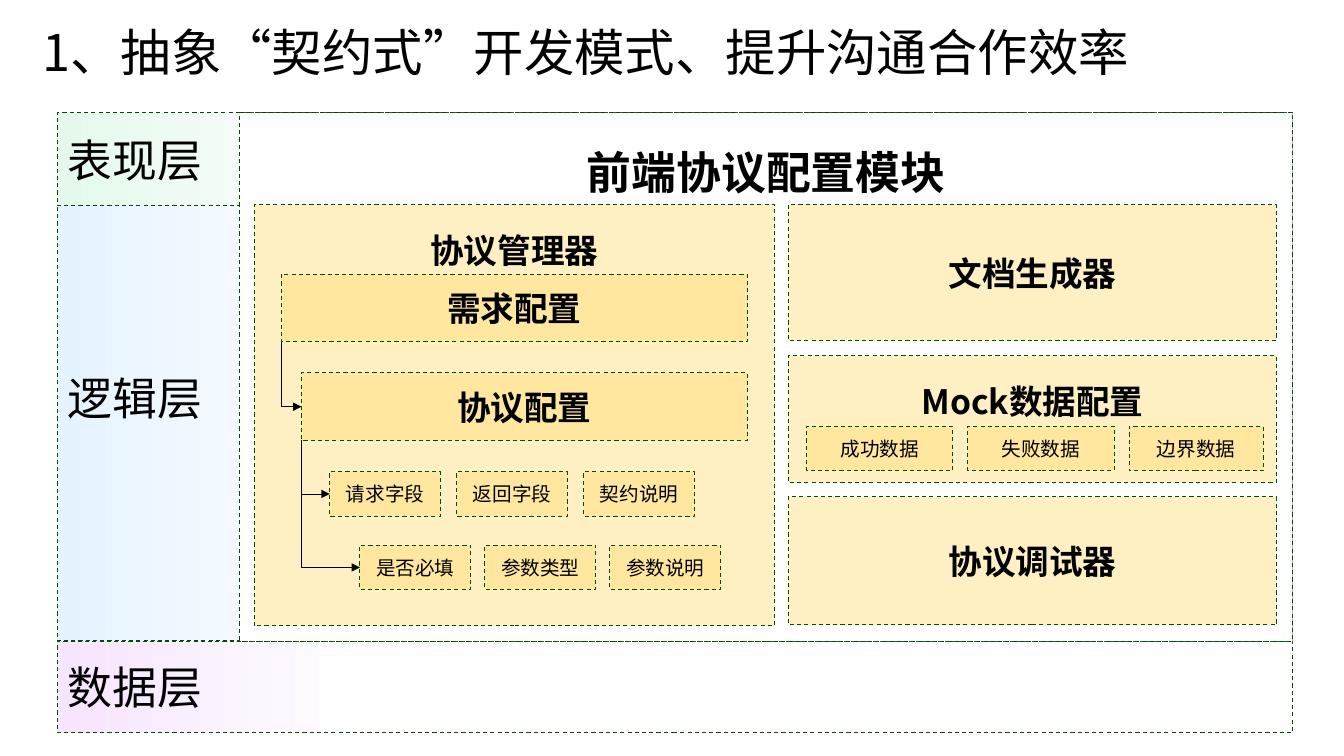
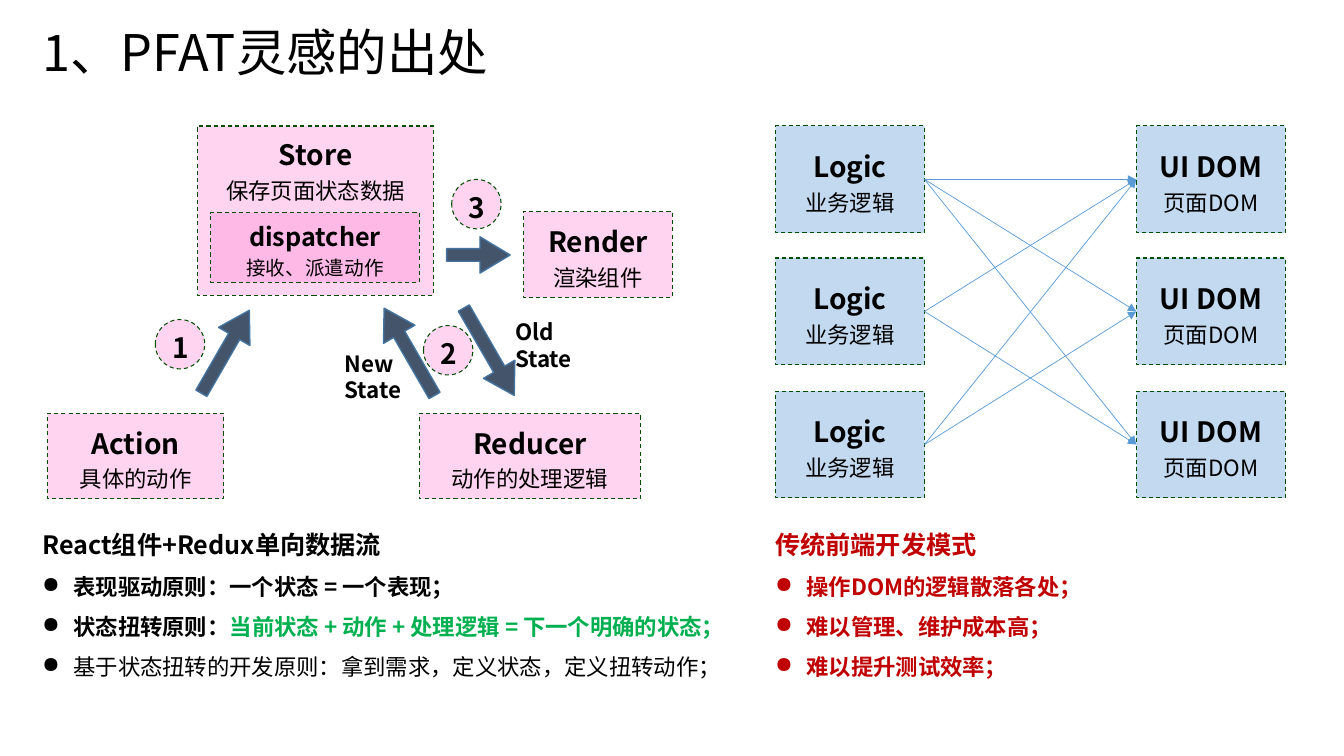
import collections
import itertools

import lxml.etree
import pptx
import pptx.dml.color
import pptx.enum.dml
import pptx.enum.shapes
import pptx.enum.text
import pptx.oxml.ns
import pptx.util

Box = collections.namedtuple("Box", "left top width height")
Run = collections.namedtuple("Run", "text size bold color")
SHAPES = pptx.enum.shapes.MSO_SHAPE
CONNECTORS = pptx.enum.shapes.MSO_CONNECTOR
ALIGN = pptx.enum.text.PP_ALIGN
ANCHOR = pptx.enum.text.MSO_ANCHOR
qn = pptx.oxml.ns.qn


class Theme:
    font = "Noto Sans CJK SC"
    # Colours
    black, white, border = "000000", "FFFFFF", "004C00"
    green, red = "00B050", "C00000"
    presentation, logic, data = "E4F9EC", "E5F3FF", "F7E4FF"
    yellow, pink, blue = ("FFD966", 38), ("FF8AD8", 36), ("9DC3E6", 62)
    arrow, arrow_edge, mesh = "44546A", "43739E", "5B9BD5"
    # Type sizes
    title, layer, module, node, heading, body, chip = 36, 32, 24, 20, 18, 16, 14
    # Line widths and spacing
    edge, thin, arrow_line = 0.75, 0.5, 1
    loose, medium = 1.5, 1.2


# ---------- Shared helpers ----------

def px(length):
    return pptx.util.Emu(round(length * 9144))


def rgb(color):
    return pptx.dml.color.RGBColor.from_string(color)


def apply(target, values):
    for name, value in values.items():
        setattr(target, name, value)


def inside(box, left, top, width, height):
    return Box(box.left + left, box.top + top, width, height)


def child(parent, tag, **attributes):
    return lxml.etree.SubElement(parent, qn(tag), attributes)


def run(text, size, bold=False, color=Theme.black):
    return Run(text, size, bold, color)


def write(frame, paragraphs, align=ALIGN.LEFT, spacing=None, bullets_from=None):
    """Each paragraph is a list of runs."""
    for index, runs in enumerate(paragraphs):
        paragraph = frame.paragraphs[0] if index == 0 else frame.add_paragraph()
        if bullets_from is not None and index >= bullets_from:
            properties = paragraph._p.get_or_add_pPr()
            properties.set("marL", str(px(31)))
            properties.set("indent", str(px(-31)))
            child(properties, "a:buChar", char="●")
        apply(paragraph, {"alignment": align, "line_spacing": spacing})
        for item in runs:
            piece = paragraph.add_run()
            piece.text = item.text
            apply(piece.font, {"size": pptx.util.Pt(item.size), "bold": item.bold,
                               "name": Theme.font})
            piece.font.color.rgb = rgb(item.color)
            child(piece._r.get_or_add_rPr(), "a:ea", typeface=Theme.font)


def outline(line, color, width, dashed=False):
    line.color.rgb = rgb(color)
    line.width = pptx.util.Pt(width)
    if dashed:
        line.dash_style = pptx.enum.dml.MSO_LINE.DASH


def panel(slide, box, fill, paragraphs, kind=SHAPES.RECTANGLE, anchor=ANCHOR.MIDDLE,
          align=ALIGN.CENTER, spacing=None):
    """Dashed box; fill is a (colour, opacity in percent) pair."""
    shape = slide.shapes.add_shape(kind, *map(px, box))
    shape.shadow.inherit = False
    color, opacity = fill
    shape.fill.solid()
    shape.fill.fore_color.rgb = rgb(color)
    if opacity < 100:
        solid = shape._element.spPr.find(".//" + qn("a:srgbClr"))
        child(solid, "a:alpha", val=str(opacity * 1000))
    outline(shape.line, Theme.border, Theme.edge, dashed=True)
    apply(shape.text_frame, {"vertical_anchor": anchor, "word_wrap": True})
    write(shape.text_frame, paragraphs, align, spacing)
    return shape


def named_node(slide, box, fill, name, note, sizes=(Theme.node, Theme.body),
               anchor=ANCHOR.MIDDLE):
    panel(slide, box, fill, [[run(name, sizes[0], True)], [run(note, sizes[1])]],
          anchor=anchor, spacing=Theme.medium)


def text_block(slide, box, paragraphs, wrap=True, **layout):
    block = slide.shapes.add_textbox(*map(px, box))
    block.text_frame.word_wrap = wrap
    write(block.text_frame, paragraphs, **layout)


def arrow_line(slide, kind, start, end, color):
    connector = slide.shapes.add_connector(kind, *map(px, (*start, *end)))
    outline(connector.line, color, Theme.thin)
    properties = connector._element.spPr
    child(properties.find(qn("a:ln")), "a:tailEnd", type="triangle")
    child(properties, "a:effectLst")
    return connector


def down_then_right(slide, start, end):
    """One-bend arrow: a turned bentConnector2 around the middle of the route."""
    middle_x, middle_y = (start[0] + end[0]) / 2, (start[1] + end[1]) / 2
    half_run, half_drop = (end[0] - start[0]) / 2, (end[1] - start[1]) / 2
    bend = arrow_line(slide, CONNECTORS.ELBOW,
                      (middle_x + half_drop, middle_y - half_run),
                      (middle_x - half_drop, middle_y + half_run), Theme.black)
    properties = bend._element.spPr
    properties.find(qn("a:prstGeom")).set("prst", "bentConnector2")
    properties.find(qn("a:xfrm")).set("rot", str(270 * 60000))


def titled_slide(deck, text):
    slide = deck.slides.add_slide(deck.slide_layouts[5])
    title = slide.shapes.title
    apply(title, dict(zip(("left", "top", "width", "height"), map(px, (32, 16, 1290, 71)))))
    apply(title.text_frame, {"vertical_anchor": ANCHOR.TOP, "word_wrap": True,
                             "auto_size": pptx.enum.text.MSO_AUTO_SIZE.NONE})
    write(title.text_frame, [[run(text, Theme.title)]])
    return slide


# ---------- Slide 1: layered architecture ----------

def layers(slide, box):
    rows = [("逻辑层", Theme.logic, 91, 433, 55),
            ("数据层", Theme.data, 524, 91, 5),
            ("表现层", Theme.presentation, 0, 92, 5)]
    for name, tint, top, height, bottom_inset in rows:
        layer = panel(slide, inside(box, 0, top, box.width, height), (Theme.white, 100),
                      [[run(name, Theme.layer)]], align=ALIGN.LEFT)
        layer.text_frame.margin_bottom = px(bottom_inset)
        layer.fill.gradient()
        layer.fill.gradient_angle = 0
        for stop, color, position in zip(layer.fill.gradient_stops,
                                         (tint, Theme.white), (0, 0.25)):
            stop.color.rgb = rgb(color)
            stop.position = position


def module(slide, box, name, **layout):
    panel(slide, box, Theme.yellow, [[run(name, Theme.module, True)]], **layout)


def chip_row(slide, box, names, widths, gap):
    """Chips run rightwards from the left edge of the box."""
    lefts = itertools.accumulate((width + gap for width in widths), initial=0)
    for name, width, left in zip(names, widths, lefts):
        panel(slide, inside(box, left, 0, width, box.height), Theme.yellow,
              [[run(name, Theme.chip)]])


def protocol_manager(slide, box):
    module(slide, box, "协议管理器", anchor=ANCHOR.TOP, spacing=Theme.loose)
    requirement = inside(box, 27, 69, 462, 67)
    protocol = inside(box, 47, 167, 442, 67)
    fields = inside(box, 75, 265, 362, 44)
    parameters = inside(box, 105, 338, 358, 44)
    module(slide, requirement, "需求配置")
    module(slide, protocol, "协议配置")
    chip_row(slide, fields, ["请求字段", "返回字段", "契约说明"], [110] * 3, 16)
    chip_row(slide, parameters, ["是否必填", "参数类型", "参数说明"], [110] * 3, 14)
    for parent, target in [(requirement, protocol), (protocol, fields),
                           (protocol, parameters)]:
        down_then_right(slide, (parent.left, parent.top + parent.height),
                        (target.left, target.top + target.height / 2))


def tools_column(slide, box):
    mock = inside(box, 0, 150, box.width, 126)
    module(slide, inside(box, 0, 0, box.width, 135), "文档生成器")
    module(slide, mock, "Mock数据配置", anchor=ANCHOR.TOP, spacing=Theme.loose)
    chip_row(slide, inside(mock, 18, 70, 453, 44), ["成功数据", "失败数据", "边界数据"],
             [145, 145, 133], 15)
    module(slide, inside(box, 0, 290, box.width, 127), "协议调试器")


def architecture_slide(deck):
    slide = titled_slide(deck, "1、抽象“契约式”开发模式、提升沟通合作效率")
    frame = Box(57, 112, 1225, 615)
    layers(slide, frame)
    front_end = inside(frame, 181, 0, 1044, 524)
    panel(slide, front_end, (Theme.white, 100),
          [[run("前端协议配置模块", Theme.layer, True)]],
          anchor=ANCHOR.TOP, spacing=Theme.loose)
    protocol_manager(slide, inside(front_end, 14, 91, 516, 418))
    tools_column(slide, inside(front_end, 544, 91, 484, 417))


# ---------- Slide 2: one-way data flow against the traditional way ----------

def data_flow(slide, box):
    # Nodes
    named_node(slide, inside(box, 149, 0, 234, 168), Theme.pink, "Store",
               "保存页面状态数据", anchor=ANCHOR.TOP)
    named_node(slide, inside(box, 162, 86, 207, 69), Theme.pink, "dispatcher",
               "接收、派遣动作", sizes=(Theme.heading, Theme.chip))
    for name, note, place in [("Action", "具体的动作", (0, 285, 175, 85)),
                              ("Reducer", "动作的处理逻辑", (369, 285, 219, 85)),
                              ("Render", "渲染组件", (472, 85, 148, 85))]:
        named_node(slide, inside(box, *place), Theme.pink, name, note)
    # Block arrows: left, top, width, rotation
    for left, top, width, rotation in [(129, 206, 95, 300), (309, 206, 100, 240),
                                       (388, 206, 100, 60), (396, 110, 63, 0)]:
        arrow = slide.shapes.add_shape(SHAPES.RIGHT_ARROW,
                                       *map(px, inside(box, left, top, width, 36)))
        arrow.shadow.inherit = False
        arrow.rotation = rotation
        arrow.adjustments[0], arrow.adjustments[1] = 0.35, 0.83
        arrow.fill.solid()
        arrow.fill.fore_color.rgb = rgb(Theme.arrow)
        outline(arrow.line, Theme.arrow_edge, Theme.arrow_line)
    # State labels and step numbers
    for age, left, top in [("Old", 454, 186), ("New", 285, 217)]:
        text_block(slide, inside(box, left, top, 78, 64),
                   [[run(word, Theme.body, True)] for word in (age, "State")], wrap=False)
    for step, (left, top) in enumerate([(107, 192), (373, 198), (401, 53)], 1):
        panel(slide, inside(box, left, top, 49, 49), Theme.pink,
              [[run(str(step), Theme.node, True)]], kind=SHAPES.OVAL,
              spacing=Theme.medium)


def logic_mesh(slide, box):
    width, height = 148, 106
    tops = [row * (box.height - height) // 2 for row in range(3)]
    for left, name, note in [(0, "Logic", "业务逻辑"),
                             (box.width - width, "UI DOM", "页面DOM")]:
        for top in tops:
            named_node(slide, inside(box, left, top, width, height), Theme.blue, name, note)
    centres = [box.top + top + height / 2 for top in tops]
    for source, target in itertools.product(range(3), repeat=2):
        if source != target or source == 0:
            arrow_line(slide, CONNECTORS.STRAIGHT, (box.left + width, centres[source]),
                       (box.left + box.width - width, centres[target]), Theme.mesh)


def summary(slide, box, heading, points):
    text_block(slide, box, [[heading], *points], spacing=Theme.loose, bullets_from=1)


def inspiration_slide(deck):
    slide = titled_slide(deck, "1、PFAT灵感的出处")
    data_flow(slide, Box(47, 125, 620, 370))
    logic_mesh(slide, Box(769, 125, 506, 369))
    size = Theme.body
    summary(slide, Box(32, 505, 720, 177),
            run("React组件+Redux单向数据流", Theme.heading, True),
            [[run("表现驱动原则：一个状态 = 一个表现；", size, True)],
             [run("状态扭转原则：", size, True),
              run("当前状态 + 动作 + 处理逻辑 = 下一个明确的状态；", size, True, Theme.green)],
             [run("基于状态扭转的开发原则：拿到需求，定义状态，定义扭转动作；", size)]])
    summary(slide, Box(759, 505, 540, 177),
            run("传统前端开发模式", Theme.heading, True, Theme.red),
            [[run(point, size, True, Theme.red)] for point in
             ("操作DOM的逻辑散落各处；", "难以管理、维护成本高；", "难以提升测试效率；")])


def main():
    deck = pptx.Presentation()
    apply(deck, {"slide_width": px(1333), "slide_height": px(750)})
    architecture_slide(deck)
    inspiration_slide(deck)
    deck.save("out.pptx")


if __name__ == "__main__":
    main()
